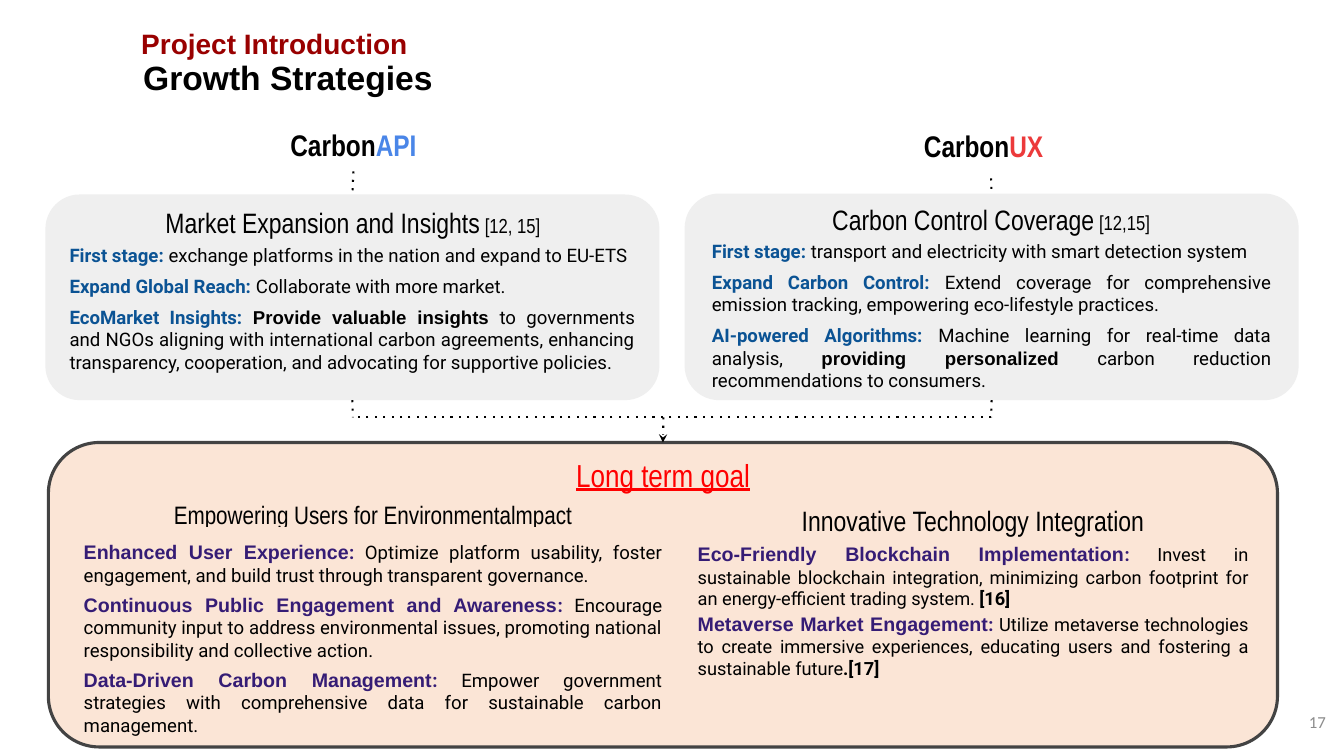
import pptx
import pptx.util
import pptx.oxml.ns
import pptx.dml.color
import pptx.enum.shapes
import pptx.enum.text
from lxml import etree

Inches, Pt = pptx.util.Inches, pptx.util.Pt
qn = pptx.oxml.ns.qn
ALIGN = pptx.enum.text.PP_ALIGN
ANCHOR = pptx.enum.text.MSO_ANCHOR
KIND = pptx.enum.shapes.MSO_SHAPE

COLORS = {
    "black": "000000", "white": "FFFFFF", "gray": "EFEFEF", "peach": "FBE5D6",
    "edge": "434343", "maroon": "990000", "blue": "0B5394", "violet": "351C75",
    "sky": "4A86E8", "coral": "EC3A3B", "red": "FF0000", "dim": "8C8C8C",
}


def style(name, size, color="black", **more):
    return {"name": name, "size": Pt(size), "bold": False, "color": color, **more}


STYLES = {
    "top": style("Arial", 20, "maroon", bold=True),
    "title": style("Arial", 24, bold=True),
    "brand": style("Arial Narrow", 21.3, bold=True),
    "api": style("Arial Narrow", 21.3, "sky", bold=True),
    "ux": style("Arial Narrow", 21.3, "coral", bold=True),
    "head": style("Arial Narrow", 20),
    "small": style("Arial Narrow", 18),
    "cite": style("Arial Narrow", 14.5),
    "goal": style("Arial Narrow", 22.7, "red", underline=True),
    "page": style("Calibri", 12, "dim"),
    "label": style("Roboto", 13.3, "blue", bold=True),
    "text": style("Roboto", 13.3),
    "strong": style("Arial", 13.3, bold=True),
    "topic": style("Arial", 14, "violet", bold=True),
    "colon": style("Roboto", 13.3, "violet", bold=True),
    "colon2": style("Roboto", 13, "violet", bold=True),
    "text2": style("Roboto", 13),
    "ref": style("Roboto", 13, bold=True),
}

MARKET = [
    [("First stage:", "label"),
     (" exchange platforms in the nation and expand to EU-ETS", "text")],
    [("Expand Global Reach:", "label"), (" Collaborate with more market.", "text")],
    [("EcoMarket Insights: ", "label"), ("Provide valuable insights", "strong"),
     (" to governments and NGOs aligning with international carbon agreements, "
      "enhancing transparency, cooperation, and advocating for supportive policies.", "text")],
]
CONTROL = [
    [("First stage:", "label"),
     (" transport and electricity with smart detection system", "text")],
    [("Expand Carbon Control: ", "label"),
     ("Extend coverage for comprehensive emission tracking, "
      "empowering eco-lifestyle practices.", "text")],
    [("AI-powered Algorithms:", "label"),
     (" Machine learning for real-time data analysis, ", "text"),
     ("providing personalized", "strong"),
     (" carbon reduction recommendations to consumers.", "text")],
]
USERS = [
    [("Enhanced User Experience", "topic"), (":", "colon"),
     (" Optimize platform usability, foster engagement, and build trust "
      "through transparent governance.", "text")],
    [("Continuous Public Engagement and Awareness", "topic"), (":", "colon"),
     (" Encourage community input to address environmental issues, "
      "promoting national responsibility and collective action.", "text")],
    [("Data-Driven Carbon Management", "topic"), (":", "colon"),
     (" Empower government strategies with comprehensive data "
      "for sustainable carbon management.", "text")],
]
TECH = [
    [("Eco-Friendly Blockchain Implementation", "topic"), (": ", "colon2"),
     ("Invest in sustainable blockchain integration, minimizing carbon footprint "
      "for an energy-efficient trading system. ", "text2"), ("[16]", "ref")],
    [("Metaverse Market Engagement", "topic"), (":", "colon2"),
     (" Utilize metaverse technologies to create immersive experiences, "
      "educating users and fostering a sustainable future", "text2"), (".[17]", "ref")],
]


def rgb(name):
    return pptx.dml.color.RGBColor.from_string(COLORS[name])


def paint(shape, color):
    shape.fill.solid()
    shape.fill.fore_color.rgb = rgb(color)


def write(shape, paras, align, anchor=ANCHOR.MIDDLE, gap=0):
    frame = shape.text_frame
    form = {"word_wrap": True, "vertical_anchor": anchor,
            "auto_size": pptx.enum.text.MSO_AUTO_SIZE.NONE}
    for side in ("left", "top", "right", "bottom"):
        form["margin_" + side] = Inches(0.13)
    for key, value in form.items():
        setattr(frame, key, value)
    for num, runs in enumerate(paras):
        para = frame.add_paragraph() if num else frame.paragraphs[0]
        if shape.is_placeholder:
            props = para._p.get_or_add_pPr()
            props.set("marL", "0")
            props.set("indent", "0")
            etree.SubElement(props, qn("a:buNone"))
        para.alignment = align
        para.space_before = Pt(gap if num else 0)
        for words, key in runs:
            run = para.add_run()
            run.text = words
            for attr, value in STYLES[key].items():
                if attr != "color":
                    setattr(run.font, attr, value)
            run.font.color.rgb = rgb(STYLES[key]["color"])


def panel(slide, box, color, edge=None):
    shape = slide.shapes.add_shape(KIND.ROUNDED_RECTANGLE, *map(Inches, box))
    shape.shadow.inherit = False
    paint(shape, color)
    if edge:
        shape.line.color.rgb = rgb(edge)
        shape.line.width = Pt(2.25)
    else:
        shape.line.fill.background()
    return shape


def label(slide, box, runs, fill=None, align=ALIGN.CENTER, anchor=ANCHOR.MIDDLE):
    shape = slide.shapes.add_textbox(*map(Inches, box))
    if fill:
        paint(shape, fill)
    write(shape, [runs], align, anchor)
    return shape


def place(shape, box):
    for attr, value in zip(("left", "top", "width", "height"), box):
        setattr(shape, attr, Inches(value))


def body(slide, idx, box, paras, gap, fill=None):
    shape = slide.placeholders[idx]
    place(shape, box)
    # Bring the list in front of its panel
    shape.element.getparent().append(shape.element)
    if fill:
        paint(shape, fill)
    write(shape, paras, ALIGN.JUSTIFY, ANCHOR.TOP, gap)


def dots(slide, start, end, begin=None, finish=None, arrow=False):
    line = slide.shapes.add_connector(
        pptx.enum.shapes.MSO_CONNECTOR.STRAIGHT, *map(Inches, start + end))
    line.line.color.rgb = rgb("black")
    line.line.width = Pt(1.5)
    stroke = line.line._get_or_add_ln()
    etree.SubElement(stroke, qn("a:prstDash"), val="dot")
    if arrow:
        etree.SubElement(stroke, qn("a:tailEnd"), type="stealth")
    etree.SubElement(line.element.spPr, qn("a:effectLst"))
    if begin:
        line.begin_connect(begin, 2)
    if finish:
        line.end_connect(finish, 0)


def main():
    deck = pptx.Presentation()
    deck.slide_width, deck.slide_height = Inches(13.33), Inches(7.5)
    slide = deck.slides.add_slide(deck.slide_layouts[4])

    # Title
    title = slide.shapes.title
    place(title, (1.27, 0.2, 11.91, 0.87))
    write(title, [[("Project Introduction", "top")], [("Growth Strategies", "title")]],
          ALIGN.LEFT)
    for para in title.text_frame.paragraphs:
        para.line_spacing = 0.9
    title.text_frame.paragraphs[1]._p.pPr.set("marL", str(Inches(0.02)))

    # Product names
    api = label(slide, (1.98, 1.17, 3.05, 0.53), [("Carbon", "brand"), ("API", "api")], "white")
    label(slide, (8.23, 1.18, 3.05, 0.53), [("Carbon", "brand"), ("UX", "ux")], "white")

    # Strategy cards
    left = panel(slide, (0.45, 1.93, 6.09, 2.04), "gray")
    label(slide, (0.64, 1.99, 5.72, 0.44),
          [("Market Expansion and Insights", "head"), (" [12, 15]", "cite")])
    body(slide, 1, (0.56, 2.29, 5.87, 1.68), MARKET, 6.2)
    right = panel(slide, (6.79, 1.92, 6.09, 2.05), "gray")
    label(slide, (6.97, 1.94, 5.72, 0.48),
          [("Carbon Control Coverage", "head"), (" [12,15]", "cite")])
    body(slide, 2, (6.93, 2.25, 5.81, 1.4), CONTROL, 6.2)

    # Long term goal
    goal = panel(slide, (0.48, 4.39, 12.19, 3.02), "peach", "edge")
    label(slide, (4.39, 4.39, 4.37, 0.65), [("Long term goal", "goal")], anchor=ANCHOR.TOP)
    label(slide, (0.94, 4.81, 5.52, 0.58),
          [("Empowering Users for Environmentalmpact", "small")])
    body(slide, 3, (0.7, 5.23, 6, 1.99), USERS, 4.7, "peach")
    label(slide, (6.79, 4.92, 5.72, 0.49), [("Innovative Technology Integration", "head")])
    body(slide, 4, (6.79, 5.25, 5.72, 1.58), TECH, 1.5)

    # Dotted links
    dots(slide, (3.5, 1.7), (3.5, 1.93), api, left)
    dots(slide, (9.83, 1.77), (9.83, 1.92), None, right)
    for card, x in ((left, 3.5), (right, 9.83)):
        dots(slide, (x, 3.97), (x, 4.14), card)
    dots(slide, (9.83, 4.14), (3.5, 4.14))
    dots(slide, (6.58, 4.14), (6.58, 4.39), None, goal, arrow=True)

    # Page number
    label(slide, (12.48, 6.93, 0.8, 0.57), [("17", "page")],
          align=ALIGN.RIGHT, anchor=ANCHOR.TOP)
    deck.save("out.pptx")


if __name__ == "__main__":
    main()
